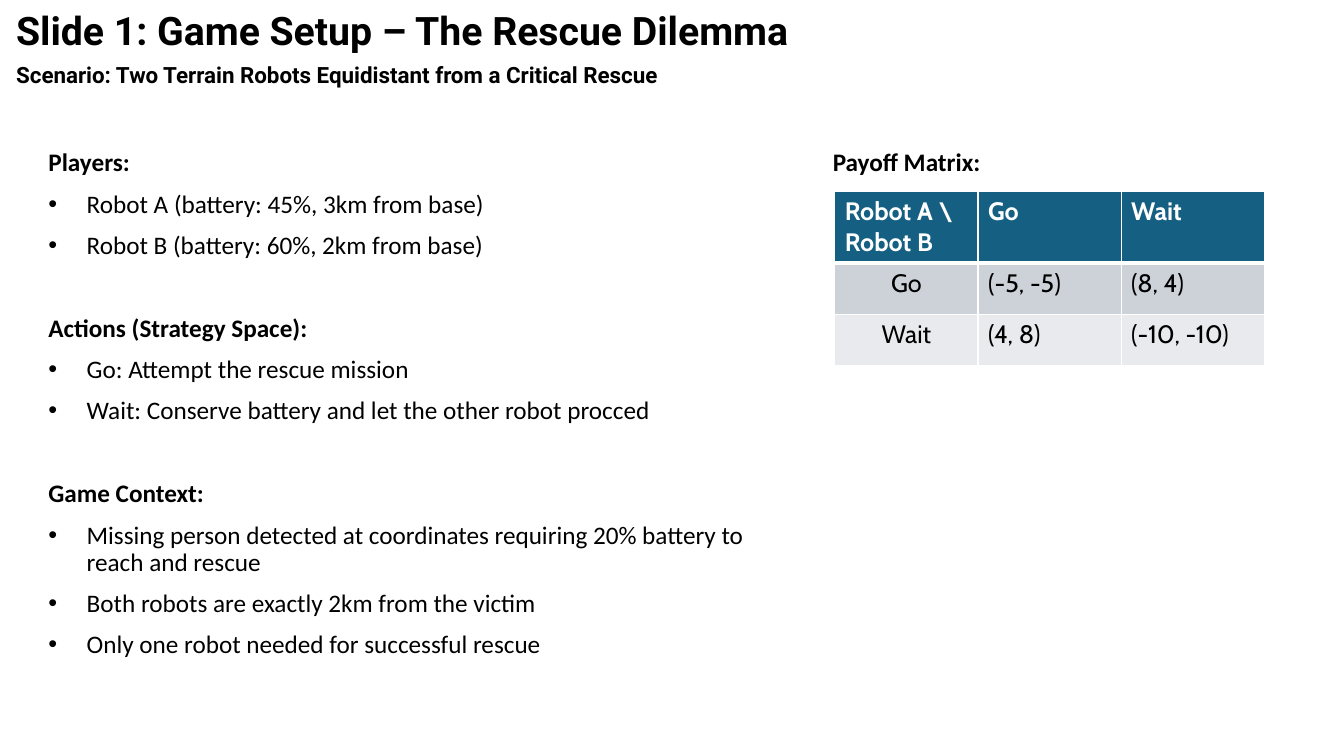
from lxml import etree
from pptx import Presentation
from pptx.dml.color import RGBColor
from pptx.enum.text import MSO_ANCHOR, MSO_AUTO_SIZE, PP_ALIGN
from pptx.oxml.ns import qn
from pptx.util import Inches, Pt

TOP, BOTTOM = MSO_ANCHOR.TOP, MSO_ANCHOR.BOTTOM
LEFT, CENTER = PP_ALIGN.LEFT, PP_ALIGN.CENTER
NO_AUTOFIT = MSO_AUTO_SIZE.NONE

COLORS = {
    "text": "000000",
    "white": "FFFFFF",
    "header": "156082",
    "band_dark": "CCD2D8",
    "band_light": "E8EAED",
}

SECTIONS = [
    ("Players:", [
        "Robot A (battery: 45%, 3km from base)",
        "Robot B (battery: 60%, 2km from base)",
    ]),
    ("Actions (Strategy Space):", [
        "Go: Attempt the rescue mission",
        "Wait: Conserve battery and let the other robot procced",
    ]),
    ("Game Context:", [
        "Missing person detected at coordinates requiring 20% battery to reach and rescue",
        "Both robots are exactly 2km from the victim",
        "Only one robot needed for successful rescue",
    ]),
]

PAYOFFS = [
    ["Robot A \\ Robot B", "Go", "Wait"],
    ["Go", "(-5, -5)", "(8, 4)"],
    ["Wait", "(4, 8)", "(-10, -10)"],
]


class SlideBuilder:
    heading_font = "Roboto"
    body_font = "Calibri"
    table_font = "Cabin"
    body_size = 18
    paragraph_gap = 10
    section_gap = 39.8
    bullet_indent = 0.38

    def __init__(self, slide):
        self.slide = slide

    def place(self, index, left, top, width, height, anchor=TOP):
        box = self.slide.placeholders[index]
        box.left, box.top = Inches(left), Inches(top)
        box.width, box.height = Inches(width), Inches(height)
        frame = box.text_frame
        frame.word_wrap = True
        frame.auto_size = NO_AUTOFIT
        frame.vertical_anchor = anchor
        return frame

    def style_runs(self, para, font, size, bold, color="text"):
        for span in para.runs:
            span.font.name = font
            span.font.size = Pt(size)
            span.font.bold = bold
            span.font.color.rgb = RGBColor.from_string(COLORS[color])

    def style_paragraph(self, para, font, size, bold=True, gap=paragraph_gap, bullet=False):
        para.alignment = LEFT
        para.line_spacing = 0.9
        para.space_before = Pt(gap)
        indent = Inches(self.bullet_indent) if bullet else 0
        properties = para._p.get_or_add_pPr()
        properties.set("marL", str(indent))
        properties.set("indent", str(-indent))
        if bullet:
            etree.SubElement(properties, qn("a:buFont"), typeface="Arial")
            etree.SubElement(properties, qn("a:buChar"), char="•")
        else:
            etree.SubElement(properties, qn("a:buNone"))
        self.style_runs(para, font, size, bold)

    def heading(self, index, text, font, size, area, gap=paragraph_gap, anchor=TOP):
        frame = self.place(index, *area, anchor=anchor)
        frame.text = text
        self.style_paragraph(frame.paragraphs[0], font, size, gap=gap)

    def sections(self, index, sections, area):
        frame = self.place(index, *area)
        para = frame.paragraphs[0]
        for number, (title, items) in enumerate(sections):
            if number:
                para = frame.add_paragraph()
            para.text = title
            gap = self.section_gap if number else self.paragraph_gap
            self.style_paragraph(para, self.body_font, self.body_size, gap=gap)
            for item in items:
                para = frame.add_paragraph()
                para.text = item
                self.style_paragraph(para, self.body_font, self.body_size, bold=False, bullet=True)

    def cell_borders(self, cell, widths):
        properties = cell._tc.get_or_add_tcPr()
        for side, width in widths.items():
            line = etree.SubElement(properties, qn(f"a:ln{side}"), w=str(Pt(width)))
            fill = etree.SubElement(line, qn("a:solidFill"))
            etree.SubElement(fill, qn("a:srgbClr"), val=COLORS["white"])

    def matrix(self, rows, left, top, column_width, row_heights):
        columns = len(rows[0])
        table = self.slide.shapes.add_table(
            len(rows), columns, Inches(left), Inches(top),
            Inches(column_width * columns), Inches(sum(row_heights))).table
        for column in table.columns:
            column.width = Inches(column_width)
        fills = ["header", "band_dark", "band_light"]
        for r, values in enumerate(rows):
            table.rows[r].height = Inches(row_heights[r])
            header = r == 0
            for c, value in enumerate(values):
                cell = table.cell(r, c)
                self.cell_borders(cell, {
                    "L": 1, "R": 1, "T": 3 if r == 1 else 1, "B": 3 if header else 1})
                cell.fill.solid()
                cell.fill.fore_color.rgb = RGBColor.from_string(COLORS[fills[r]])
                cell.text_frame.text = value
                para = cell.text_frame.paragraphs[0]
                para.alignment = CENTER if c == 0 and not header else LEFT
                self.style_runs(para, self.table_font, self.body_size, header,
                                "white" if header else "text")

    def remove_placeholder(self, index):
        element = self.slide.placeholders[index]._element
        element.getparent().remove(element)


def main():
    deck = Presentation()
    deck.slide_width, deck.slide_height = Inches(13.33), Inches(7.5)
    comparison_layout = deck.slide_layouts[4]
    page = SlideBuilder(deck.slides.add_slide(comparison_layout))
    page.heading(0, "Slide 1: Game Setup – The Rescue Dilemma", page.heading_font, 28,
                 (0.06, -0.13, 9.96, 0.72), gap=0, anchor=BOTTOM)
    page.heading(1, "Scenario: Two Terrain Robots Equidistant from a Critical Rescue",
                 page.heading_font, 16, (0.06, 0.59, 7.96, 0.46))
    page.sections(2, SECTIONS, (0.38, 1.44, 7.21, 5.6))
    page.heading(3, "Payoff Matrix:", page.body_font, page.body_size, (8.16, 1.44, 1.98, 0.46))
    page.remove_placeholder(4)
    page.matrix(PAYOFFS, 8.28, 1.9, 1.42, [0.71, 0.51, 0.51])
    deck.save("out.pptx")


if __name__ == "__main__":
    main()
